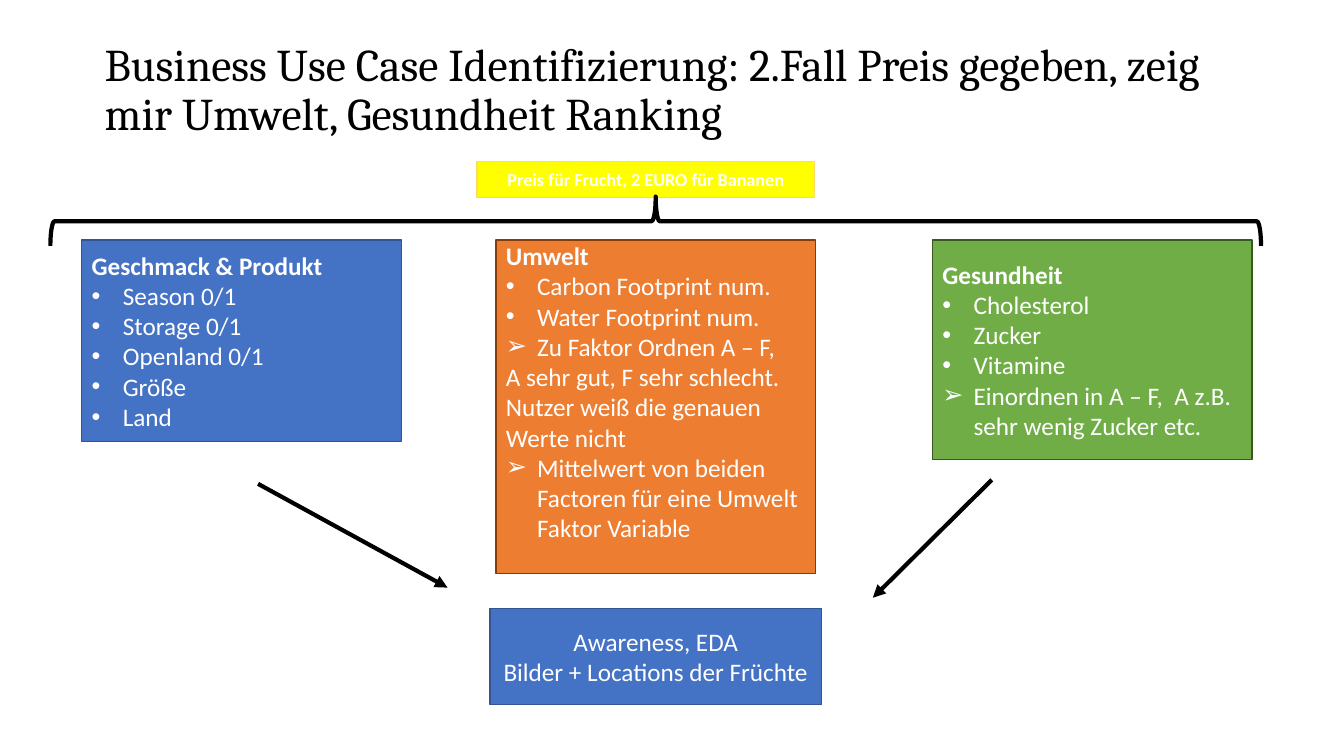
from dataclasses import dataclass

from lxml import etree
from pptx import Presentation
from pptx import util as u
from pptx.dml.color import RGBColor
from pptx.enum import shapes, text
from pptx.oxml.ns import qn


@dataclass(frozen=True)
class Theme:
    black: str = "000000"
    white: str = "FFFFFF"
    yellow: str = "FFFF00"
    gold: str = "FFD966"
    blue: str = "4472C4"
    navy: str = "325491"
    orange: str = "ED7D31"
    brown: str = "843C0B"
    green: str = "70AD47"
    forest: str = "385723"
    heading_font: str = "Cambria"
    body_font: str = "Calibri"
    heading: float = 32.4
    body: float = 18
    label: float = 13
    outline: float = 1
    stroke: float = 3


@dataclass(frozen=True)
class Frame:
    """Left, top, width and height in percent of the slide."""
    x: float
    y: float
    w: float
    h: float


@dataclass(frozen=True)
class Line:
    text: str
    bullet: str = ""
    bold: bool = False


@dataclass(frozen=True)
class Box:
    frame: Frame
    fill: str
    outline: str
    lines: tuple[Line, ...]
    size: float
    centred: bool = False
    bottom_inset: float = 0.05


@dataclass(frozen=True)
class Arrow:
    """Start and end in percent of the slide."""
    x1: float
    y1: float
    x2: float
    y2: float


T = Theme()
WIDTH, HEIGHT = u.Inches(13.333), u.Inches(7.5)
INDENT = u.Inches(0.31)
DOT, POINTER = "•", "➢"
CARD_TOP, CARD_WIDTH = 31.73, 23.78

TITLE = "Business Use Case Identifizierung: 2.Fall Preis gegeben, zeig mir Umwelt, Gesundheit Ranking"
TITLE_FRAME = Frame(7.05, 5.07, 86.25, 14)
BRACE_FRAME = Frame(3.75, 26, 90.08, 6.53)

BOXES = (
    Box(Frame(35.48, 21.33, 25.13, 4.8), T.yellow, T.gold,
        (Line("Preis für Frucht, 2 EURO für Bananen", bold=True),), T.label, centred=True),
    Box(Frame(6.08, CARD_TOP, CARD_WIDTH, 26.67), T.blue, T.navy,
        (Line("Geschmack & Produkt", bold=True),
         Line("Season 0/1", DOT),
         Line("Storage 0/1", DOT),
         Line("Openland 0/1", DOT),
         Line("Größe", DOT),
         Line("Land", DOT)), T.body),
    Box(Frame(36.9, CARD_TOP, CARD_WIDTH, 44.13), T.orange, T.brown,
        (Line("Umwelt", bold=True),
         Line("Carbon Footprint num.", DOT),
         Line("Water Footprint num.", DOT),
         Line("Zu Faktor Ordnen A – F,", POINTER),
         Line("A sehr gut, F sehr schlecht. Nutzer weiß die genauen Werte nicht"),
         Line("Mittelwert von beiden Factoren für eine Umwelt Faktor Variable", POINTER)),
        T.body, bottom_inset=0.35),
    Box(Frame(69.38, CARD_TOP, CARD_WIDTH, 29.07), T.green, T.forest,
        (Line("Gesundheit", bold=True),
         Line("Cholesterol", DOT),
         Line("Zucker", DOT),
         Line("Vitamine", DOT),
         Line("Einordnen in A – F,  A z.B. sehr wenig Zucker etc.", POINTER)), T.body),
    Box(Frame(36.45, 80.53, 24.68, 12.67), T.blue, T.navy,
        (Line("Awareness, EDA"), Line("Bilder + Locations der Früchte")), T.body, centred=True),
)

ARROWS = (Arrow(19.2, 64, 33.3, 77.73), Arrow(73.8, 63.47, 64.95, 79.07))


def across(share: float) -> int:
    return round(WIDTH * share / 100)


def down(share: float) -> int:
    return round(HEIGHT * share / 100)


def place(f: Frame) -> tuple[int, int, int, int]:
    return across(f.x), down(f.y), across(f.w), down(f.h)


def set_line(line, color: str, width: float) -> None:
    line.color.rgb = RGBColor.from_string(color)
    line.width = u.Pt(width)


def add_run(p, content: str, font: str, size: float, color: str, bold: bool = False) -> None:
    r = p.add_run()
    r.text = content
    r.font.name, r.font.size, r.font.bold = font, u.Pt(size), bold
    r.font.color.rgb = RGBColor.from_string(color)


def set_bullet(p, mark: str) -> None:
    """Hang the paragraph behind its bullet mark."""
    props = p._p.get_or_add_pPr()
    props.set("marL", str(INDENT))
    props.set("indent", str(-INDENT))
    etree.SubElement(props, qn("a:buFont")).set("typeface", "Arial")
    etree.SubElement(props, qn("a:buChar")).set("char", mark)


def add_title(s) -> None:
    tf = s.shapes.add_textbox(*place(TITLE_FRAME)).text_frame
    tf.word_wrap = True
    tf.vertical_anchor = text.MSO_ANCHOR.MIDDLE
    p = tf.paragraphs[0]
    p.line_spacing = 0.9
    add_run(p, TITLE, T.heading_font, T.heading, T.black)


def add_box(s, box: Box) -> None:
    sp = s.shapes.add_shape(shapes.MSO_SHAPE.RECTANGLE, *place(box.frame))
    sp.shadow.inherit = False
    sp.fill.solid()
    sp.fill.fore_color.rgb = RGBColor.from_string(box.fill)
    set_line(sp.line, box.outline, T.outline)
    tf = sp.text_frame
    tf.word_wrap = True
    tf.vertical_anchor = text.MSO_ANCHOR.MIDDLE
    tf.margin_bottom = u.Inches(box.bottom_inset)
    for i, line in enumerate(box.lines):
        p = tf.add_paragraph() if i else tf.paragraphs[0]
        p.alignment = text.PP_ALIGN.CENTER if box.centred else text.PP_ALIGN.LEFT
        if line.bullet:
            set_bullet(p, line.bullet)
        add_run(p, line.text, T.body_font, box.size, T.white, line.bold)


def add_brace(s) -> None:
    """Turn a right brace so that its tip points up and it spans its frame."""
    x, y, w, h = place(BRACE_FRAME)
    sp = s.shapes.add_shape(shapes.MSO_SHAPE.RIGHT_BRACE,
                            x + (w - h) // 2, y + (h - w) // 2, h, w)
    sp.rotation = 270
    sp.shadow.inherit = False
    sp.fill.background()
    set_line(sp.line, T.black, T.stroke)


def add_arrow(s, a: Arrow) -> None:
    line = s.shapes.add_connector(shapes.MSO_CONNECTOR.STRAIGHT, across(a.x1), down(a.y1),
                                  across(a.x2), down(a.y2))
    set_line(line.line, T.black, T.stroke)
    etree.SubElement(line.line._get_or_add_ln(), qn("a:tailEnd")).set("type", "triangle")
    etree.SubElement(line._element.spPr, qn("a:effectLst"))


def main() -> None:
    prs = Presentation()
    prs.slide_width, prs.slide_height = WIDTH, HEIGHT
    s = prs.slides.add_slide(prs.slide_layouts[6])
    add_title(s)
    for box in BOXES:
        add_box(s, box)
    add_brace(s)
    for arrow in ARROWS:
        add_arrow(s, arrow)
    prs.save("out.pptx")


if __name__ == "__main__":
    main()
